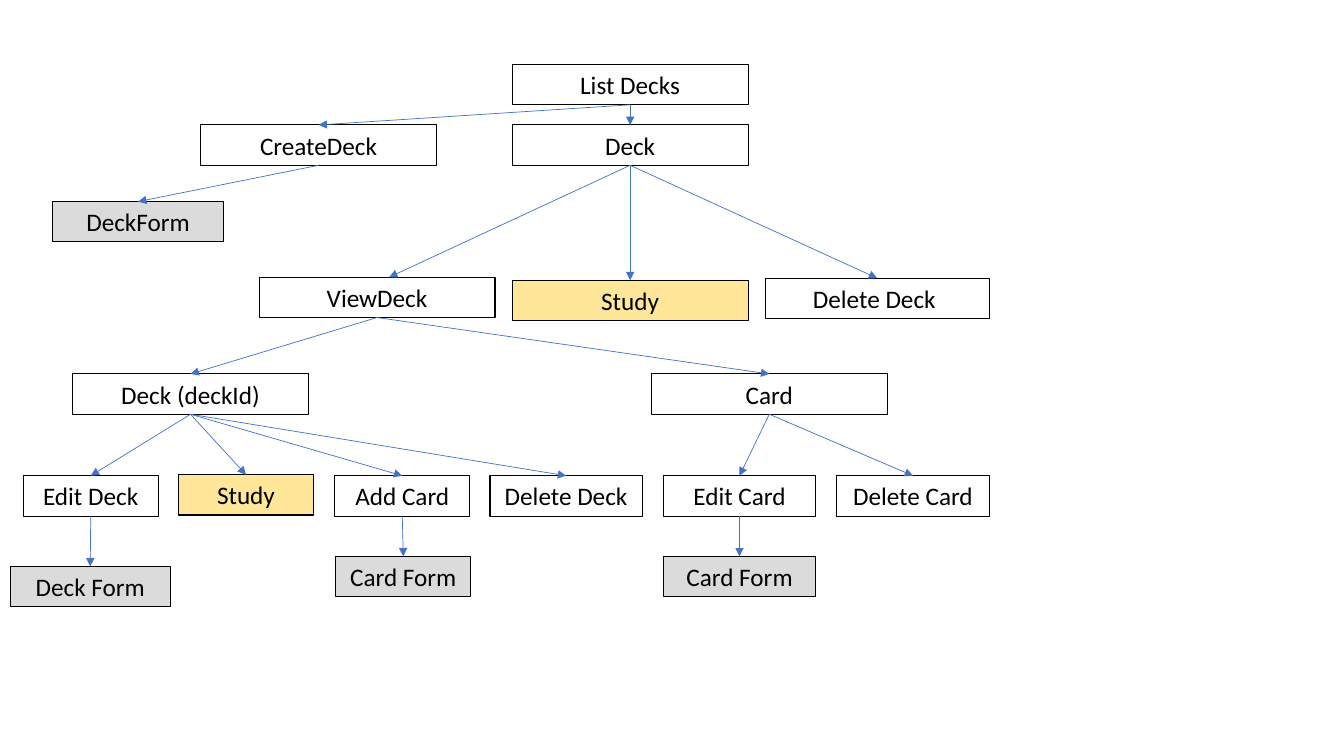
from dataclasses import dataclass

from pptx import Presentation
from pptx.dml.color import RGBColor
from pptx.enum.shapes import MSO_CONNECTOR, MSO_SHAPE
from pptx.enum.text import MSO_ANCHOR, MSO_AUTO_SIZE, PP_ALIGN
from pptx.oxml.ns import qn
from pptx.util import Emu, Pt
from lxml.etree import SubElement

PX = 9144  # EMU per px, 100 px to the inch
HIGH = 40
WIDE, MID, SLIM = 234, 151, 134
BOTTOM, TOP = 2, 0


@dataclass(frozen=True)
class Theme:
    font: str = "Calibri"
    size: Pt = Pt(18)
    ink: RGBColor = RGBColor(0x00, 0x00, 0x00)
    form: RGBColor = RGBColor(0xDB, 0xDB, 0xDB)
    study: RGBColor = RGBColor(0xFF, 0xE6, 0x99)
    arrow: RGBColor = RGBColor(0x44, 0x72, 0xC4)
    edge: Pt = Pt(0.75)
    thin: Pt = Pt(0.5)


THEME = Theme()

# key: (text, left, top, width, fill)
NODES = {
    "list": ("List Decks", 508, 64, WIDE, None),
    "create": ("CreateDeck", 199, 124, WIDE, None),
    "new form": ("DeckForm", 52, 200, 170, THEME.form),
    "deck": ("Deck", 508, 124, WIDE, None),
    "view": ("ViewDeck", 257, 275, WIDE, None),
    "study": ("Study", 508, 278, WIDE, THEME.study),
    "delete": ("Delete Deck ", 759, 276, 222, None),
    "deck id": ("Deck (deckId)", 72, 371, WIDE, None),
    "card": ("Card", 646, 371, WIDE, None),
    "edit deck": ("Edit Deck", 23, 472, SLIM, None),
    "study id": ("Study", 177, 471, SLIM, THEME.study),
    "add card": ("Add Card", 332, 472, SLIM, None),
    "delete id": ("Delete Deck", 486, 472, MID, None),
    "edit card": ("Edit Card", 658, 472, MID, None),
    "delete card": ("Delete Card", 830, 472, MID, None),
    "deck form": ("Deck Form", 10, 562, 159, THEME.form),
    "add form": ("Card Form", 333, 552, SLIM, THEME.form),
    "edit form": ("Card Form", 658, 552, MID, THEME.form),
}

LINKS = {
    "list": ["create", "deck"],
    "create": ["new form"],
    "deck": ["study", "delete"],
    "view": ["deck id", "card"],
    "deck id": ["edit deck", "study id", "add card", "delete id"],
    "card": ["edit card", "delete card"],
    "edit deck": ["deck form"],
    "add card": ["add form"],
    "edit card": ["edit form"],
}

VIEW_TIP = (386, 275)  # this arrow lands right of the middle of ViewDeck


def add_box(slide, text, left, top, width, fill):
    box = slide.shapes.add_shape(
        MSO_SHAPE.RECTANGLE, *(Emu(n * PX) for n in (left, top, width, HIGH)))
    box.shadow.inherit = False
    if fill is None:
        box.fill.background()
    else:
        box.fill.solid()
        box.fill.fore_color.rgb = fill
    box.line.color.rgb = THEME.ink
    box.line.width = THEME.edge
    frame = box.text_frame
    frame.word_wrap = True
    frame.auto_size = MSO_AUTO_SIZE.SHAPE_TO_FIT_TEXT
    frame.vertical_anchor = MSO_ANCHOR.TOP
    para = frame.paragraphs[0]
    para.text = text
    para.alignment = PP_ALIGN.CENTER
    para.font.name = THEME.font
    para.font.size = THEME.size
    para.font.color.rgb = THEME.ink
    return box


def add_arrow(slide, start, end=None, tip=(0, 0)):
    """Run from the bottom of start to the top of end, or to the point tip."""
    x, y = (Emu(n * PX) for n in tip)
    arrow = slide.shapes.add_connector(MSO_CONNECTOR.STRAIGHT, x, y, x, y)
    arrow.begin_connect(start, BOTTOM)
    if end is not None:
        arrow.end_connect(end, TOP)
    arrow.line.color.rgb = THEME.arrow
    arrow.line.width = THEME.thin
    SubElement(arrow.line._get_or_add_ln(), qn("a:tailEnd"), type="triangle")
    SubElement(arrow._element.spPr, qn("a:effectLst"))


def main():
    deck = Presentation()
    deck.slide_width, deck.slide_height = Emu(1333 * PX), Emu(750 * PX)
    slide = deck.slides.add_slide(deck.slide_layouts[6])
    boxes = {key: add_box(slide, *node) for key, node in NODES.items()}
    for key, kids in LINKS.items():
        for kid in kids:
            add_arrow(slide, boxes[key], boxes[kid])
    add_arrow(slide, boxes["deck"], tip=VIEW_TIP)
    deck.save("out.pptx")


if __name__ == "__main__":
    main()
